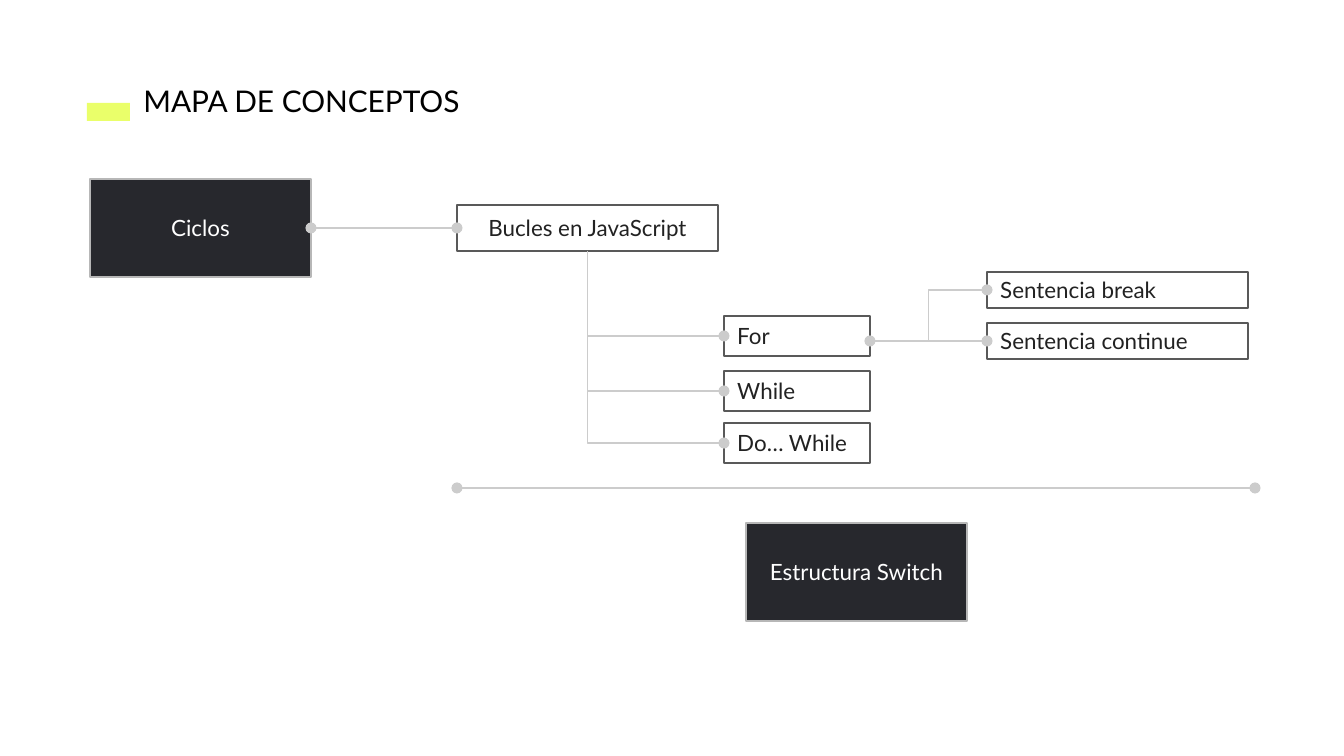
import pptx
import pptx.dml.color
import pptx.enum.shapes
import pptx.enum.text
import pptx.oxml.ns
import pptx.util
from lxml import etree

RGBColor = pptx.dml.color.RGBColor
Align = pptx.enum.text.PP_ALIGN
Anchor = pptx.enum.text.MSO_ANCHOR
Connector = pptx.enum.shapes.MSO_CONNECTOR
Shape = pptx.enum.shapes.MSO_SHAPE

WHITE = RGBColor(0xFF, 0xFF, 0xFF)
BLACK = RGBColor(0x00, 0x00, 0x00)
LIME = RGBColor(0xEA, 0xFF, 0x6A)
CHARCOAL = RGBColor(0x27, 0x28, 0x2D)
INK = RGBColor(0x22, 0x22, 0x22)
DARK_GREY = RGBColor(0x59, 0x59, 0x59)
MID_GREY = RGBColor(0xB7, 0xB7, 0xB7)
LIGHT_GREY = RGBColor(0xCC, 0xCC, 0xCC)

EMU_PER_PX = 914400 / 134.4
BOTTOM, LEFT, RIGHT = 2, 1, 3


def px(length):
    return pptx.util.Emu(round(length * EMU_PER_PX))


def write_text(shape, text, size=12, color=INK, align=Align.LEFT, anchor=Anchor.MIDDLE):
    frame = shape.text_frame
    frame.word_wrap = True
    frame.vertical_anchor = anchor
    frame.margin_left = frame.margin_right = pptx.util.Inches(0.1)
    frame.margin_top = frame.margin_bottom = pptx.util.Inches(0.1)
    paragraph = frame.paragraphs[0]
    paragraph.alignment = align
    run = paragraph.add_run()
    run.text = text
    run.font.name = "Lato"
    run.font.size = pptx.util.Pt(size)
    run.font.color.rgb = color


class ConceptMap:
    line_width = pptx.util.Pt(0.75)

    def __init__(self, slide):
        self.slide = slide

    def title(self, text, left, top, width, height):
        shape = self.slide.shapes.title
        shape.left, shape.top = px(left), px(top)
        shape.width, shape.height = px(width), px(height)
        write_text(shape, text, size=16, color=BLACK, anchor=Anchor.TOP)
        shape.text_frame.auto_size = pptx.enum.text.MSO_AUTO_SIZE.SHAPE_TO_FIT_TEXT

    def rectangle(self, left, top, width, height, fill, outline=None):
        shape = self.slide.shapes.add_shape(
            Shape.RECTANGLE, px(left), px(top), px(width), px(height))
        shape.shadow.inherit = False
        shape.fill.solid()
        shape.fill.fore_color.rgb = fill
        if outline is None:
            shape.line.fill.background()
        else:
            shape.line.color.rgb = outline
            shape.line.width = self.line_width
        return shape

    def topic(self, text, left, top):
        shape = self.rectangle(left, top, 221, 98, CHARCOAL, MID_GREY)
        write_text(shape, text, color=WHITE, align=Align.CENTER)
        return shape

    def concept(self, text, left, top, width, height, align=Align.LEFT):
        shape = self.rectangle(left, top, width, height, WHITE, DARK_GREY)
        write_text(shape, text, align=align)
        return shape

    def connector(self, start, end, kind=Connector.STRAIGHT, start_dot=True):
        """Each end is an (x, y) point or a (shape, side) pair."""
        connector = self.slide.shapes.add_connector(kind, 0, 0, 0, 0)
        if isinstance(start[0], int):
            connector.begin_x, connector.begin_y = px(start[0]), px(start[1])
        else:
            connector.begin_connect(*start)
        if isinstance(end[0], int):
            connector.end_x, connector.end_y = px(end[0]), px(end[1])
        else:
            connector.end_connect(*end)
        connector.line.color.rgb = LIGHT_GREY
        connector.line.width = self.line_width
        line = connector.line._get_or_add_ln()
        for tag in ("a:headEnd", "a:tailEnd") if start_dot else ("a:tailEnd",):
            etree.SubElement(line, pptx.oxml.ns.qn(tag), type="oval")
        etree.SubElement(connector._element.spPr, pptx.oxml.ns.qn("a:effectLst"))
        return connector

    def branch(self, parent, child):
        """Run down from the parent, then right to the child, with one bend."""
        connector = self.connector(
            (parent, BOTTOM), (child, LEFT), Connector.ELBOW, start_dot=False)
        across, down = connector.width, connector.height
        connector.left += (across - down) // 2
        connector.top += (down - across) // 2
        connector.width, connector.height = down, across
        properties = connector._element.spPr
        frame = properties.find(pptx.oxml.ns.qn("a:xfrm"))
        frame.set("rot", str(270 * 60000))
        frame.set("flipH", "1")
        properties.find(pptx.oxml.ns.qn("a:prstGeom")).set("prst", "bentConnector2")


def main():
    presentation = pptx.Presentation()
    presentation.slide_width = px(1344)
    presentation.slide_height = px(756)
    slide = presentation.slides.add_slide(presentation.slide_layouts[5])
    concept_map = ConceptMap(slide)

    concept_map.rectangle(87, 103, 43, 18, LIME)
    concept_map.title("MAPA DE CONCEPTOS", 130, 69, 362, 63)

    cycles = concept_map.topic("Ciclos", 90, 179)
    loops = concept_map.concept("Bucles en JavaScript", 457, 205, 261, 46, Align.CENTER)
    concept_map.connector((cycles, RIGHT), (loops, LEFT))

    for text, top in (("For", 316), ("While", 371), ("Do… While", 423)):
        concept_map.branch(loops, concept_map.concept(text, 724, top, 146, 40))

    fork = (870, 341)
    continue_box = concept_map.concept("Sentencia continue", 987, 323, 261, 36)
    concept_map.connector(fork, (continue_box, LEFT))
    break_box = concept_map.concept("Sentencia break", 987, 272, 261, 36)
    concept_map.connector(fork, (break_box, LEFT), Connector.ELBOW, start_dot=False)

    concept_map.connector((1255, 488), (457, 488))
    concept_map.topic("Estructura Switch", 746, 523)

    presentation.save("out.pptx")


if __name__ == "__main__":
    main()
